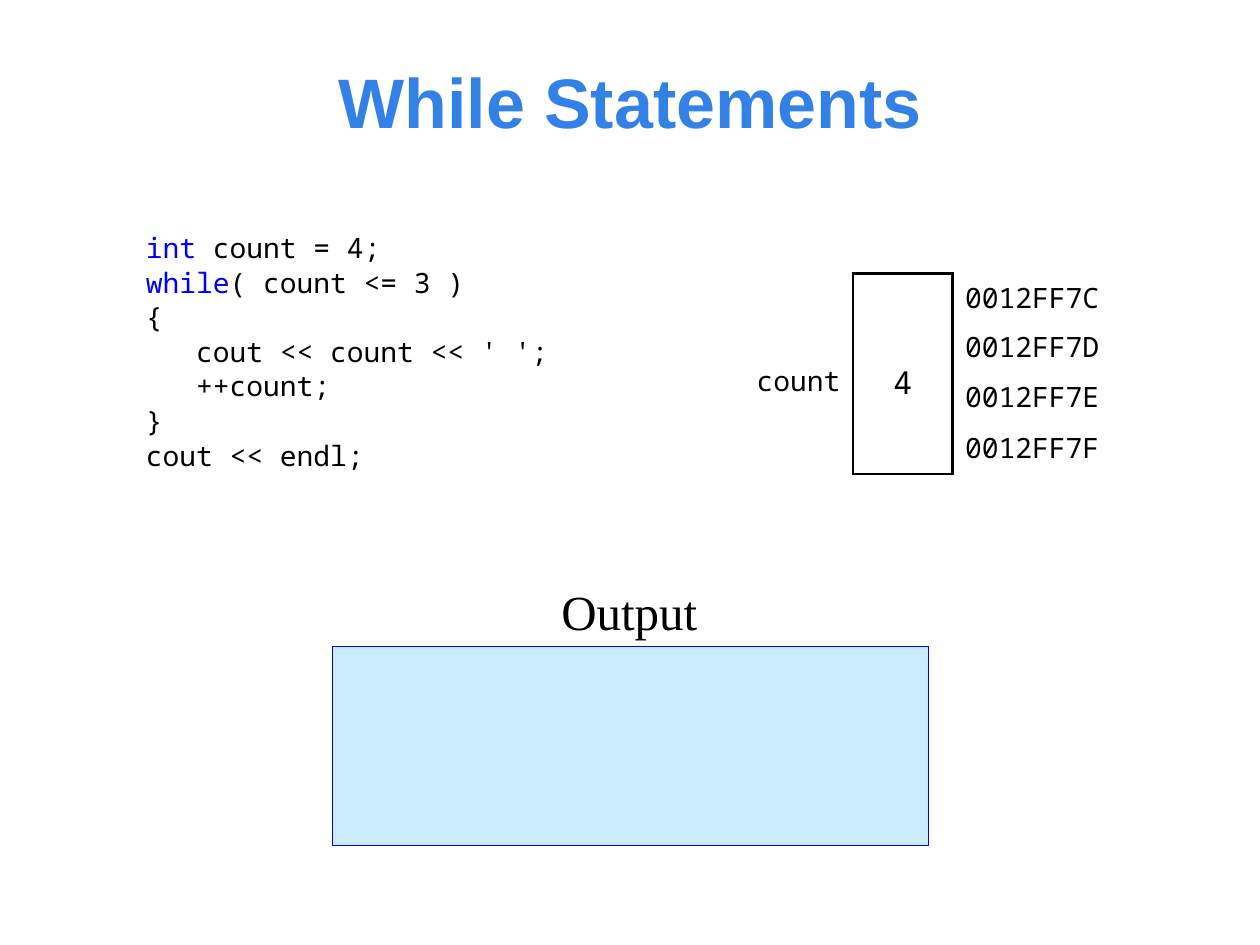
from lxml.etree import SubElement
from pptx import Presentation
from pptx.dml.color import RGBColor
from pptx.enum.shapes import MSO_SHAPE
from pptx.enum.text import MSO_ANCHOR, PP_ALIGN
from pptx.oxml.ns import qn
from pptx.util import Inches, Pt

COLORS = {"title": "3380E6", "keyword": "0000FF", "text": "000000",
          "panel": "CCECFF", "panel_edge": "0000FF"}
MONO = "Noto Sans Mono"
TITLE_FONT = {"name": "Arial", "size": Pt(40), "bold": True}
CODE_FONT = {"name": MONO, "size": Pt(16)}
VALUE_FONT = {"name": MONO, "size": Pt(18)}
OUTPUT_FONT = {"name": "Times New Roman", "size": Pt(28)}

TITLE = "While Statements"
CODE = [
    [("int ", "keyword"), ("count = 4;", "text")],
    [("while", "keyword"), ("( count <= 3 )", "text")],
    [("{", "text")],
    [("   cout << count << ' ';", "text")],
    [("   ++count;", "text")],
    [("}", "text")],
    [("cout << endl;", "text")],
]
VARIABLE, VALUE = "count", "4"
ADDRESSES = ["0012FF7C", "0012FF7D", "0012FF7E", "0012FF7F"]
OUTPUT_LABEL = "Output"

COLUMN_WIDTHS = [1.18, 0.79, 1.38]
ROW_HEIGHT = 0.39
COLUMN_SIDES = ["R", "LRTB", "L"]


def rgb(role):
    return RGBColor.from_string(COLORS[role])


def write_line(paragraph, runs, font, **layout):
    for text, role in runs:
        run = paragraph.add_run()
        run.text = text
        for key, value in font.items():
            setattr(run.font, key, value)
        run.font.color.rgb = rgb(role)
    for key, value in layout.items():
        setattr(paragraph, key, value)


def add_text(slide, box, lines, font, anchor, wrap=True, gap=0, **layout):
    frame = slide.shapes.add_textbox(*map(Inches, box)).text_frame
    frame.word_wrap = wrap
    frame.vertical_anchor = anchor
    for index, runs in enumerate(lines):
        paragraph = frame.add_paragraph() if index else frame.paragraphs[0]
        write_line(paragraph, runs, font, **layout)
        if index:
            paragraph.space_before = Pt(gap)


def set_borders(cell, sides):
    """Draw the listed sides in black and clear the others."""
    properties = cell._tc.get_or_add_tcPr()
    for position, side in enumerate("LRTB"):
        line = SubElement(properties, qn(f"a:ln{side}"), w=str(Pt(1.5)))
        if side in sides:
            fill = SubElement(line, qn("a:solidFill"))
            SubElement(fill, qn("a:srgbClr"), val=COLORS["text"])
        else:
            SubElement(line, qn("a:noFill"))
        properties.insert(position, line)


def fill_cell(cell, text, font, margin, **layout):
    cell.vertical_anchor = MSO_ANCHOR.MIDDLE
    cell.margin_top = cell.margin_bottom = Inches(margin)
    write_line(cell.text_frame.paragraphs[0], [(text, "text")], font, **layout)


def add_memory_table(slide):
    last = len(ADDRESSES) - 1
    size = sum(COLUMN_WIDTHS), ROW_HEIGHT * len(ADDRESSES)
    table = slide.shapes.add_table(len(ADDRESSES), len(COLUMN_WIDTHS),
                                   *map(Inches, (5.59, 2.17, *size))).table
    table.first_row = table.horz_banding = False
    for column, width in zip(table.columns, COLUMN_WIDTHS):
        column.width = Inches(width)
    for row, address in enumerate(ADDRESSES):
        table.rows[row].height = Inches(ROW_HEIGHT)
        for column, sides in enumerate(COLUMN_SIDES):
            cell = table.cell(row, column)
            cell.fill.background()
            hidden = "" if row == 0 else "T" if row == last else "TB"
            set_borders(cell, set(sides) - set(hidden))
        fill_cell(table.cell(row, 2), address, CODE_FONT, 0.04)
    merged = [(VARIABLE, CODE_FONT, PP_ALIGN.RIGHT),
              (VALUE, VALUE_FONT, PP_ALIGN.CENTER)]
    for column, (text, font, alignment) in enumerate(merged):
        cell = table.cell(0, column)
        cell.merge(table.cell(last, column))
        fill_cell(cell, text, font, 0, alignment=alignment, line_spacing=1.4)


def add_output_panel(slide):
    panel = slide.shapes.add_shape(MSO_SHAPE.RECTANGLE,
                                   *map(Inches, (2.64, 5.13, 4.73, 1.58)))
    panel.shadow.inherit = False
    panel.fill.solid()
    panel.fill.fore_color.rgb = rgb("panel")
    panel.line.color.rgb = rgb("panel_edge")
    panel.line.width = Pt(0.75)


def main():
    deck = Presentation()
    deck.slide_width, deck.slide_height = Inches(10), Inches(7.5)
    slide = deck.slides.add_slide(deck.slide_layouts[6])
    add_text(slide, (1.06, 0.4, 7.88, 0.79), [[(TITLE, "title")]], TITLE_FONT,
             MSO_ANCHOR.MIDDLE, alignment=PP_ALIGN.CENTER)
    add_text(slide, (1.06, 1.78, 3.74, 2.36), CODE, CODE_FONT,
             MSO_ANCHOR.TOP, gap=0.6)
    add_output_panel(slide)
    add_memory_table(slide)
    add_text(slide, (4.21, 4.54, 1.57, 0.59), [[(OUTPUT_LABEL, "text")]],
             OUTPUT_FONT, MSO_ANCHOR.BOTTOM, wrap=False,
             alignment=PP_ALIGN.CENTER)
    deck.save("out.pptx")


if __name__ == "__main__":
    main()
